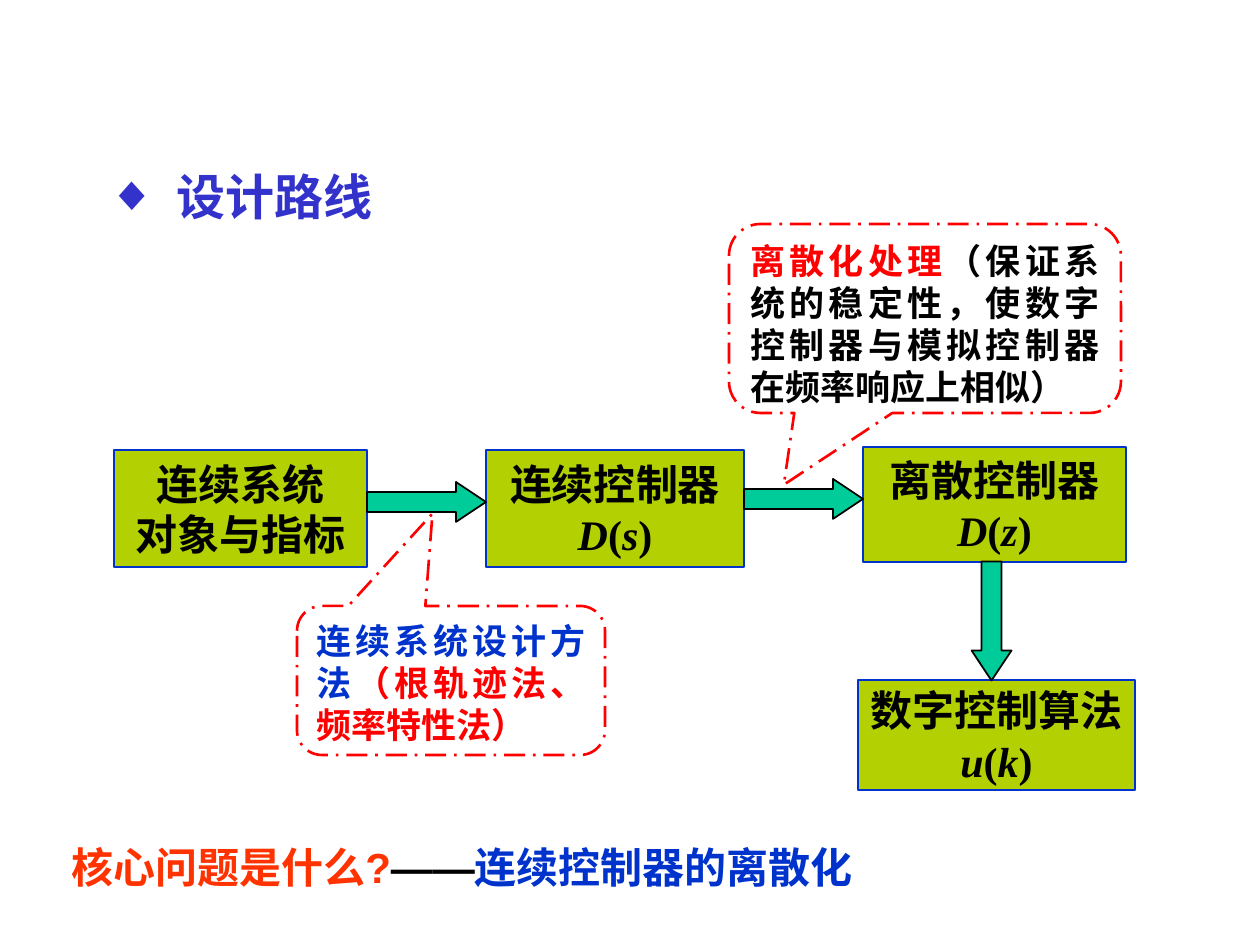
from dataclasses import dataclass

import lxml.etree
import pptx
import pptx.dml.color
import pptx.enum.dml
import pptx.enum.shapes
import pptx.enum.text
import pptx.oxml.ns
import pptx.util

EMU_PER_PX = 914400 / 126
COLORS = {
    "heading": "3333CC",
    "box": "B3D002",
    "blue": "0033CC",
    "red": "FF0000",
    "orange": "FF3300",
    "arrow": "00CC99",
    "black": "000000",
}
SHAPES = pptx.enum.shapes.MSO_SHAPE
ALIGN = pptx.enum.text.PP_ALIGN
ANCHOR = pptx.enum.text.MSO_ANCHOR


@dataclass(frozen=True)
class Run:
    text: str
    color: str = "black"
    italic: bool = False


@dataclass(frozen=True)
class Frame:
    left: int
    top: int
    width: int
    height: int


@dataclass(frozen=True)
class Stage:
    frame: Frame
    lines: tuple[tuple[Run, ...], ...]


@dataclass(frozen=True)
class Arrow:
    frame: Frame
    rotation: int = 0


@dataclass(frozen=True)
class Callout:
    frame: Frame
    tip: tuple[float, float]
    runs: tuple[Run, ...]


def px(length: int) -> int:
    return round(length * EMU_PER_PX)


def emu(frame: Frame) -> tuple[int, int, int, int]:
    return px(frame.left), px(frame.top), px(frame.width), px(frame.height)


def rgb(color: str) -> pptx.dml.color.RGBColor:
    return pptx.dml.color.RGBColor.from_string(COLORS[color])


def function_of(name: str, variable: str) -> tuple[Run, ...]:
    """Runs of a formula such as D(s), with its letters in italics."""
    return Run(name, italic=True), Run("("), Run(variable, italic=True), Run(")")


def write_runs(paragraph, runs: tuple[Run, ...], size: int, font_name: str) -> None:
    for run in runs:
        text_run = paragraph.add_run()
        text_run.text = run.text
        font_format = {
            "name": font_name,
            "size": pptx.util.Pt(size),
            "bold": True,
            "italic": run.italic,
        }
        for attribute, value in font_format.items():
            setattr(text_run.font, attribute, value)
        text_run.font.color.rgb = rgb(run.color)


def add_outlined(slide, kind, frame: Frame, fill: str | None, line: str, width: float):
    shape = slide.shapes.add_shape(kind, *emu(frame))
    shape.shadow.inherit = False
    if fill:
        shape.fill.solid()
        shape.fill.fore_color.rgb = rgb(fill)
    else:
        shape.fill.background()
    shape.line.color.rgb = rgb(line)
    shape.line.width = pptx.util.Pt(width)
    return shape


def add_stage(slide, stage: Stage) -> None:
    box = add_outlined(slide, SHAPES.RECTANGLE, stage.frame, "box", "blue", 1.5)
    content = box.text_frame
    content.word_wrap = False
    content.vertical_anchor = ANCHOR.MIDDLE
    for index, runs in enumerate(stage.lines):
        paragraph = content.add_paragraph() if index else content.paragraphs[0]
        paragraph.alignment = ALIGN.CENTER
        write_runs(paragraph, runs, 24, "Times New Roman")


def add_arrow(slide, arrow: Arrow) -> None:
    block = add_outlined(slide, SHAPES.RIGHT_ARROW, arrow.frame, "arrow", "black", 1)
    block.adjustments[1] = 0.75
    block.rotation = arrow.rotation


def add_callout(slide, callout: Callout) -> None:
    bubble = add_outlined(
        slide, SHAPES.ROUNDED_RECTANGULAR_CALLOUT, callout.frame, None, "red", 1.5
    )
    bubble.line.dash_style = pptx.enum.dml.MSO_LINE.LONG_DASH_DOT
    bubble.adjustments[0], bubble.adjustments[1] = callout.tip
    content = bubble.text_frame
    content.word_wrap = True
    content.vertical_anchor = ANCHOR.TOP
    content.paragraphs[0].alignment = ALIGN.JUSTIFY
    write_runs(content.paragraphs[0], callout.runs, 20, "Times New Roman")


def set_diamond_bullet(paragraph, indent: int) -> None:
    properties = paragraph._p.get_or_add_pPr()
    properties.set("marL", str(px(indent)))
    properties.set("indent", str(-px(indent)))
    qn = pptx.oxml.ns.qn
    bullet_color = lxml.etree.SubElement(properties, qn("a:buClr"))
    lxml.etree.SubElement(bullet_color, qn("a:srgbClr"), val=COLORS["heading"])
    lxml.etree.SubElement(properties, qn("a:buFont"), typeface="Arial")
    lxml.etree.SubElement(properties, qn("a:buChar"), char="◆")


def set_heading(slide, text: str) -> None:
    title = slide.shapes.title
    position = zip(("left", "top", "width", "height"), emu(Frame(95, 160, 496, 72)))
    for attribute, value in position:
        setattr(title, attribute, value)
    title.text_frame.vertical_anchor = ANCHOR.TOP
    title.text_frame.auto_size = pptx.enum.text.MSO_AUTO_SIZE.NONE
    paragraph = title.text_frame.paragraphs[0]
    paragraph.alignment = ALIGN.LEFT
    paragraph.space_before = pptx.util.Pt(17.5)
    set_diamond_bullet(paragraph, 69)
    write_runs(paragraph, (Run(text, "heading"),), 28, "Arial")


def add_conclusion(slide, runs: tuple[Run, ...]) -> None:
    conclusion = slide.shapes.add_textbox(*emu(Frame(59, 835, 922, 63))).text_frame
    conclusion.word_wrap = True
    paragraph = conclusion.paragraphs[0]
    paragraph.alignment = ALIGN.JUSTIFY
    paragraph.space_before = pptx.util.Pt(15)
    write_runs(paragraph, runs, 24, "Arial")


STAGES = (
    Stage(Frame(114, 450, 253, 117), ((Run("连续系统"),), (Run("对象与指标"),))),
    Stage(Frame(486, 450, 258, 117), ((Run("连续控制器"),), function_of("D", "s"))),
    Stage(Frame(863, 447, 263, 115), ((Run("离散控制器"),), function_of("D", "z"))),
    Stage(Frame(858, 680, 277, 110), ((Run("数字控制算法"),), function_of("u", "k"))),
)
ARROWS = (
    Arrow(Frame(367, 482, 119, 40)),
    Arrow(Frame(744, 479, 119, 40)),
    Arrow(Frame(932, 601, 119, 40), rotation=90),
)
CALLOUTS = (
    Callout(
        Frame(729, 224, 392, 189),
        (-0.36, 0.88),
        (
            Run("离散化处理", "red"),
            Run("（保证系统的稳定性，使数字控制器与模拟控制器在频率响应上相似）"),
        ),
    ),
    Callout(
        Frame(297, 606, 308, 149),
        (-0.06, -1.12),
        (Run("连续系统设计方法", "blue"), Run("（根轨迹法、频率特性法）", "red")),
    ),
)
CONCLUSION = (
    Run("核心问题是什么?", "orange"),
    Run("——"),
    Run("连续控制器的离散化", "blue"),
)


def main() -> None:
    deck = pptx.Presentation()
    deck.slide_width, deck.slide_height = px(1260), px(945)
    slide = deck.slides.add_slide(deck.slide_layouts.get_by_name("Title Only"))
    set_heading(slide, "设计路线")
    for stage in STAGES:
        add_stage(slide, stage)
    for callout in CALLOUTS:
        add_callout(slide, callout)
    for arrow in ARROWS:
        add_arrow(slide, arrow)
    add_conclusion(slide, CONCLUSION)
    deck.save("out.pptx")


if __name__ == "__main__":
    main()
